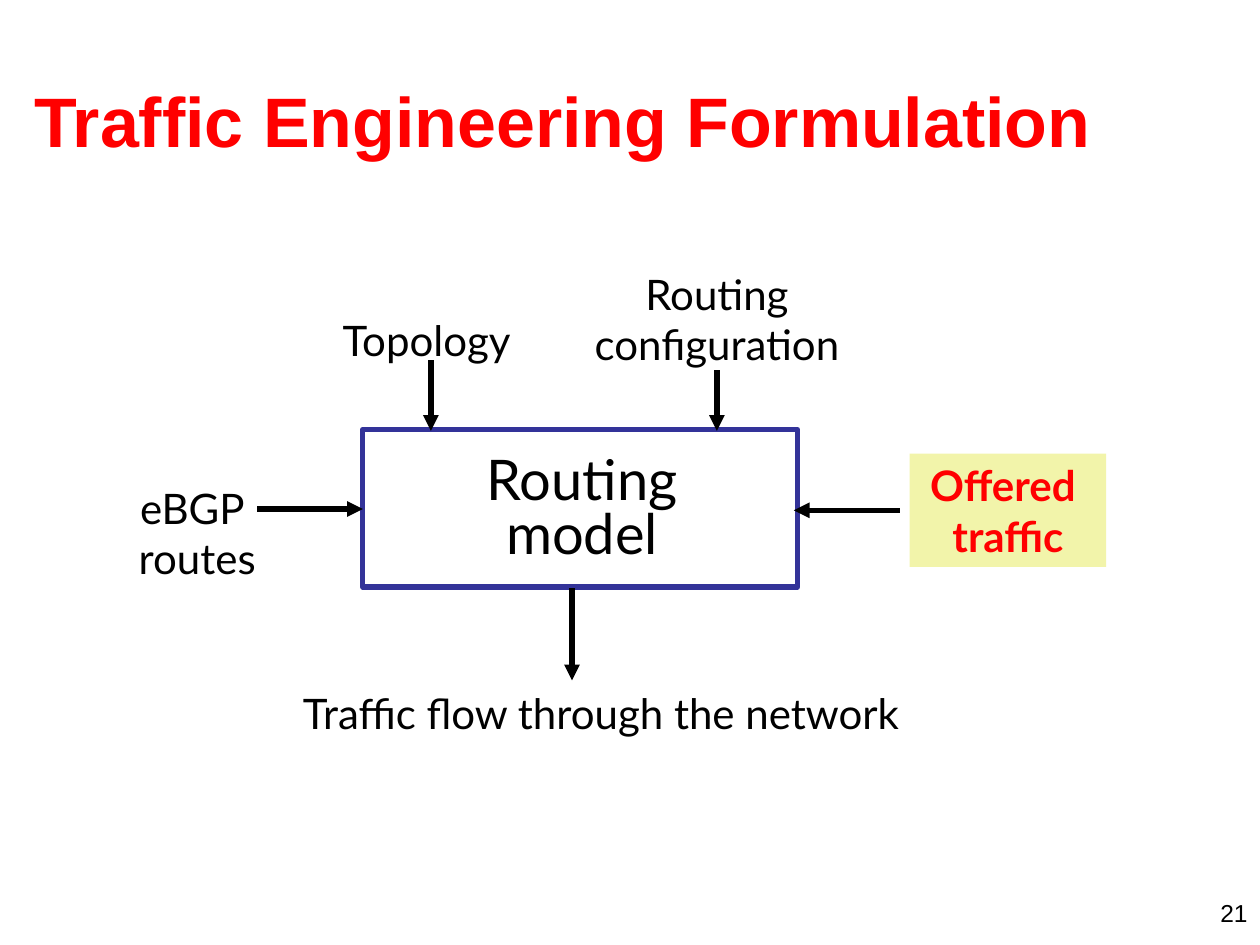
from dataclasses import dataclass

from lxml.etree import SubElement
from pptx import Presentation
from pptx.dml.color import RGBColor
from pptx.enum.shapes import MSO_CONNECTOR as Connector, MSO_SHAPE as Shape
from pptx.enum.text import MSO_ANCHOR as Anchor, PP_ALIGN as Align
from pptx.oxml.ns import qn
from pptx.util import Inches, Pt


@dataclass(frozen=True)
class Theme:
    """Colours, fonts and sizes of the slide."""
    red: RGBColor = RGBColor(0xFF, 0x00, 0x00)
    black: RGBColor = RGBColor(0x00, 0x00, 0x00)
    blue: RGBColor = RGBColor(0x33, 0x33, 0x99)
    yellow: RGBColor = RGBColor(0xF2, 0xF4, 0xAA)
    heading_font: str = "Arial"
    body_font: str = "Lato"
    title_size: int = 40
    model_size: int = 32
    label_size: int = 24
    number_size: int = 14
    line_width: int = 3


class DiagramSlide:
    """Draws styled elements on one slide."""

    def __init__(self, slide, theme):
        self.slide = slide
        self.theme = theme

    def set_text(self, shape, text, size, color=None, font=None, bold=False,
                 align=Align.CENTER, anchor=Anchor.TOP, wrap=False):
        frame = shape.text_frame
        frame.text = text
        frame.word_wrap = wrap
        frame.vertical_anchor = anchor
        for paragraph in frame.paragraphs:
            paragraph.alignment = align
            for run in paragraph.runs:
                run.font.name = font or self.theme.body_font
                run.font.size = Pt(size)
                run.font.bold = bold
                run.font.color.rgb = color or self.theme.black

    def title(self, text, left, top, width, height):
        shape = self.slide.shapes.title
        shape.left, shape.top = Inches(left), Inches(top)
        shape.width, shape.height = Inches(width), Inches(height)
        self.set_text(shape, text, self.theme.title_size, self.theme.red,
                      self.theme.heading_font, True, Align.LEFT, Anchor.MIDDLE, True)

    def label(self, text, left, top, width, height, size=None, **style):
        shape = self.slide.shapes.add_textbox(
            Inches(left), Inches(top), Inches(width), Inches(height))
        self.set_text(shape, text, size or self.theme.label_size, **style)
        return shape

    def box(self, left, top, width, height, fill=None, line=None):
        shape = self.slide.shapes.add_shape(
            Shape.RECTANGLE, Inches(left), Inches(top), Inches(width), Inches(height))
        shape.shadow.inherit = False
        if fill is None:
            shape.fill.background()
        else:
            shape.fill.solid()
            shape.fill.fore_color.rgb = fill
        if line is None:
            shape.line.fill.background()
        else:
            shape.line.color.rgb = line
            shape.line.width = Pt(self.theme.line_width)
        return shape

    def arrow(self, start_x, start_y, end_x, end_y):
        connector = self.slide.shapes.add_connector(
            Connector.STRAIGHT, Inches(start_x), Inches(start_y),
            Inches(end_x), Inches(end_y))
        connector.line.color.rgb = self.theme.black
        connector.line.width = Pt(self.theme.line_width)
        properties = connector._element.spPr
        SubElement(properties.find(qn("a:ln")), qn("a:tailEnd"), type="triangle")
        SubElement(properties, qn("a:effectLst"))


def main():
    theme = Theme()
    presentation = Presentation()
    presentation.slide_width, presentation.slide_height = Inches(10), Inches(7.5)
    slide = presentation.slides.add_slide(presentation.slide_layouts[5])
    diagram = DiagramSlide(slide, theme)

    diagram.title("Traffic Engineering Formulation", 0.17, 0.32, 9.58, 1.25)
    diagram.box(2.88, 3.41, 3.45, 1.25, line=theme.blue)

    diagram.label("Topology", 2.56, 2.45, 1.65, 0.5)
    diagram.label("Routing\nconfiguration", 4.53, 2.08, 2.32, 0.9)
    diagram.label("eBGP \nroutes", 0.96, 3.78, 1.21, 0.9)
    offered = diagram.box(7.22, 3.6, 1.56, 0.9, fill=theme.yellow)
    diagram.set_text(offered, "Offered \ntraffic", theme.label_size, theme.red, bold=True)

    diagram.arrow(2.04, 4.04, 2.88, 4.04)
    diagram.arrow(7.14, 4.05, 6.3, 4.05)
    diagram.arrow(3.42, 2.86, 3.42, 3.42)
    diagram.arrow(5.69, 2.94, 5.69, 3.42)

    model = diagram.label("Routing\nmodel", 3.7, 3.48, 1.84, 1.06, theme.model_size)
    model.text_frame.paragraphs[1].line_spacing = 0.8
    diagram.arrow(4.54, 4.67, 4.54, 5.4)
    diagram.label("Traffic flow through the network", 2.13, 5.41, 5.28, 0.5)
    diagram.label("21", 7.67, 7.08, 2.33, 0.25, theme.number_size,
                  font=theme.heading_font, align=Align.RIGHT, wrap=True)

    presentation.save("out.pptx")


if __name__ == "__main__":
    main()
